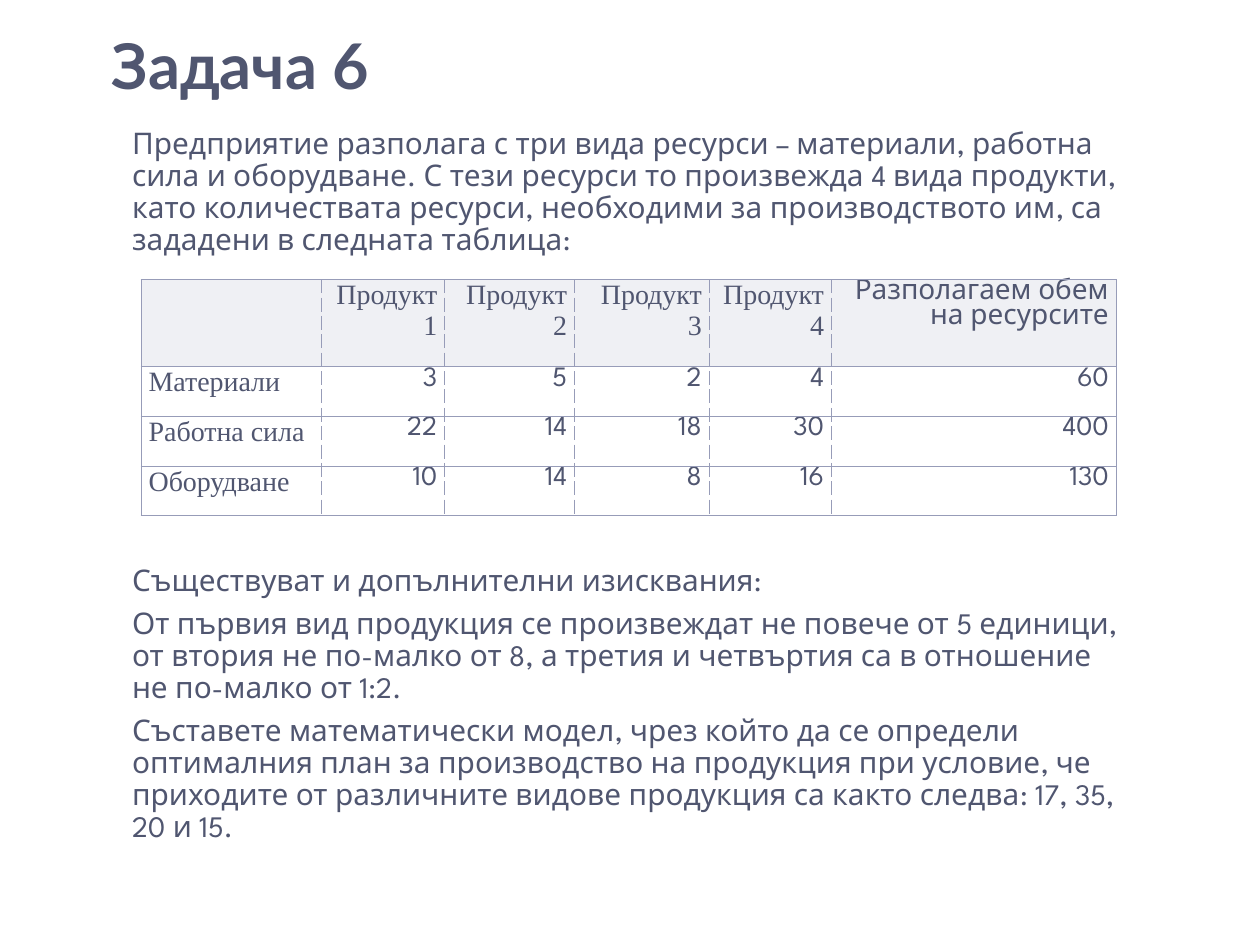
from lxml import etree
from pptx import Presentation
from pptx.dml.color import RGBColor
from pptx.enum.text import MSO_ANCHOR, PP_ALIGN
from pptx.oxml.ns import qn
from pptx.util import Inches, Pt

BOTTOM = MSO_ANCHOR.BOTTOM
TOP = MSO_ANCHOR.TOP
LEFT = PP_ALIGN.LEFT
RIGHT = PP_ALIGN.RIGHT
JUSTIFY = PP_ALIGN.JUSTIFY

TEXT_COLOR = "505670"
BORDER_COLOR = "979CB8"
HEADING_FONT = "Lato"
BODY_FONT = "League Spartan"
LABEL_FONT = "Times New Roman"

BODY_LEFT, BODY_WIDTH = 0.95, 8.06
COLUMN_WIDTHS = [1.43, 0.98, 1.03, 1.07, 0.97, 2.26]
ROW_HEIGHTS = [0.69, 0.395, 0.395, 0.395]

INTRODUCTION = [
    "Предприятие разполага с три вида ресурси – материали, работна сила и "
    "оборудване. С тези ресурси то произвежда 4 вида продукти, като количествата "
    "ресурси, необходими за производството им, са зададени в следната таблица:",
]
REQUIREMENTS = [
    "Съществуват и допълнителни изисквания:",
    "От първия вид продукция се произвеждат не повече от 5 единици, от втория не "
    "по-малко от 8, а третия и четвъртия са в отношение не по-малко от 1:2.",
    "Съставете математически модел, чрез който да се определи оптималния план за "
    "производство на продукция при условие, че приходите от различните видове "
    "продукция са както следва: 17, 35, 20 и 15.",
]
RESOURCES = [
    ["", "Продукт 1", "Продукт 2", "Продукт 3", "Продукт 4",
     "Разполагаем обем на ресурсите"],
    ["Материали", "3", "5", "2", "4", "60"],
    ["Работна сила", "22", "14", "18", "30", "400"],
    ["Оборудване", "10", "14", "8", "16", "130"],
]


def color(hex_string):
    return RGBColor.from_string(hex_string)


def add_run(paragraph, text, font_name, size, bold=False):
    run = paragraph.add_run()
    run.text = text
    run.font.name = font_name
    run.font.size = Pt(size)
    run.font.bold = bold
    run.font.color.rgb = color(TEXT_COLOR)


def add_text_frame(slide, left, top, width, height, anchor=TOP):
    shape = slide.shapes.add_textbox(
        Inches(left), Inches(top), Inches(width), Inches(height))
    frame = shape.text_frame
    frame.word_wrap = True
    frame.vertical_anchor = anchor
    frame.margin_left = frame.margin_right = Inches(0.1)
    frame.margin_top = frame.margin_bottom = Inches(0.1)
    return frame


def add_title(slide, text):
    frame = add_text_frame(slide, 0.79, 0.04, 9, 0.87, BOTTOM)
    add_run(frame.paragraphs[0], text, HEADING_FONT, 36, True)


def add_body(slide, top, height, texts):
    frame = add_text_frame(slide, BODY_LEFT, top, BODY_WIDTH, height)
    for index, text in enumerate(texts):
        paragraph = frame.add_paragraph() if index else frame.paragraphs[0]
        paragraph.alignment = LEFT
        paragraph.line_spacing = 0.9
        if index:
            paragraph.space_before = Pt(6)
        add_run(paragraph, text, BODY_FONT, 17)


def add_border(cell, side, dash):
    properties = cell._tc.get_or_add_tcPr()
    line = etree.SubElement(properties, qn(f"a:ln{side}"), w=str(Pt(0.75)))
    fill = etree.SubElement(line, qn("a:solidFill"))
    etree.SubElement(fill, qn("a:srgbClr"), val=BORDER_COLOR)
    etree.SubElement(line, qn("a:prstDash"), val=dash)


def fill_cell(cell, is_header):
    if not is_header:
        cell.fill.background()
        return
    cell.fill.solid()
    cell.fill.fore_color.rgb = color(BORDER_COLOR)
    tint = cell._tc.tcPr.find(qn("a:solidFill")).find(qn("a:srgbClr"))
    etree.SubElement(tint, qn("a:alpha"), val="15000")


def format_cell(cell, row, column):
    last_column = len(COLUMN_WIDTHS) - 1
    cell.margin_left = cell.margin_right = Inches(0.06)
    cell.margin_top = cell.margin_bottom = 0
    add_border(cell, "L", "dash" if column else "solid")
    add_border(cell, "R", "dash" if column < last_column else "solid")
    add_border(cell, "T", "solid")
    add_border(cell, "B", "solid")
    fill_cell(cell, row == 0)


def add_resource_table(slide):
    shape = slide.shapes.add_table(
        len(ROW_HEIGHTS), len(COLUMN_WIDTHS), Inches(1.12), Inches(2.22),
        Inches(sum(COLUMN_WIDTHS)), Inches(sum(ROW_HEIGHTS)))
    table = shape.table
    table.first_row = False
    table.horz_banding = False
    for column, width in zip(table.columns, COLUMN_WIDTHS):
        column.width = Inches(width)
    for row, height in zip(table.rows, ROW_HEIGHTS):
        row.height = Inches(height)
    for row, values in enumerate(RESOURCES):
        for column, value in enumerate(values):
            cell = table.cell(row, column)
            format_cell(cell, row, column)
            if value:
                is_label = column == 0 or (row == 0 and column < len(values) - 1)
                paragraph = cell.text_frame.paragraphs[0]
                paragraph.alignment = RIGHT if column else JUSTIFY
                add_run(paragraph, value, LABEL_FONT if is_label else BODY_FONT, 16)


def main():
    presentation = Presentation()
    presentation.slide_width = Inches(10)
    presentation.slide_height = Inches(7.5)
    slide = presentation.slides.add_slide(presentation.slide_layouts[6])
    add_body(slide, 0.92, 1.25, INTRODUCTION)
    add_body(slide, 4.39, 2.48, REQUIREMENTS)
    add_title(slide, "Задача 6")
    add_resource_table(slide)
    presentation.save("out.pptx")


if __name__ == "__main__":
    main()
